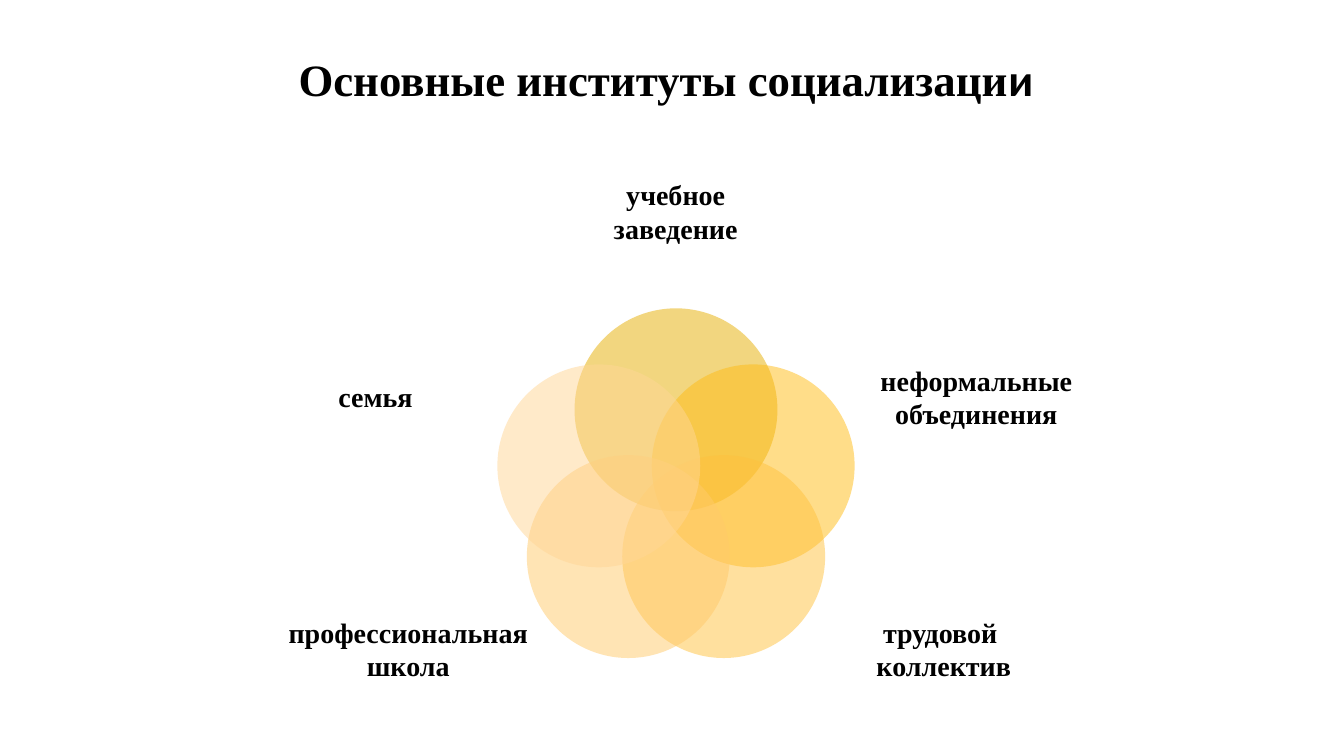
import math
from dataclasses import dataclass

from lxml import etree
from pptx import Presentation
from pptx import util as u
from pptx.dml.color import RGBColor
from pptx.enum import shapes, text
from pptx.oxml.ns import qn


@dataclass(frozen=True)
class Theme:
    font: str = "Times New Roman"
    accent_font: str = "Calibri"
    ink: str = "000000"
    title_size: int = 32
    title_end_size: int = 40
    label_size: int = 20
    opacity: int = 50
    petals: tuple = ("E7AE00", "FFBC14", "FFC23F", "FFCA6A", "FFD695")


THEME = Theme()

LABELS = (
    (("учебное", "заведение"), (7.26, 0, 5.92, 3.43)),
    (("неформальные", "объединения"), (15.14, 4.52, 5.31, 3.73)),
    (("трудовой ", "коллектив"), (14.32, 10.87, 5.31, 3.73)),
    (("профессиональная ", "школа"), (0.38, 10.87, 6.2, 3.73)),
    (("семья",), (0, 4.52, 5.31, 3.73)),
)


def style_font(font, size):
    font.name = THEME.font
    font.size = u.Pt(size)
    font.bold = True
    font.color.rgb = RGBColor.from_string(THEME.ink)


def add_title(slide, left, top, width, height):
    title = slide.shapes.title
    title.left, title.top = u.Cm(left), u.Cm(top)
    title.width, title.height = u.Cm(width), u.Cm(height)
    frame = title.text_frame
    frame.vertical_anchor = text.MSO_ANCHOR.MIDDLE
    paragraph = frame.paragraphs[0]
    paragraph.alignment = text.PP_ALIGN.CENTER
    paragraph.line_spacing = 0.9
    style_font(paragraph.font, THEME.title_size)
    for wording in ("Основные институты социализаци", "и", " "):
        run = paragraph.add_run()
        run.text = wording
        style_font(run.font, THEME.title_size)
        if len(wording) == 1:
            run.font.name = THEME.accent_font
    run.font.size = u.Pt(THEME.title_end_size)
    run.font.bold = False


def add_petal(group, center_x, center_y, diameter, color):
    petal = group.shapes.add_shape(
        shapes.MSO_SHAPE.OVAL,
        u.Cm(center_x - diameter / 2), u.Cm(center_y - diameter / 2),
        u.Cm(diameter), u.Cm(diameter),
    )
    petal.shadow.inherit = False
    petal.line.fill.background()
    petal.fill.solid()
    petal.fill.fore_color.rgb = RGBColor.from_string(color)
    fill_color = petal.fill._xPr.find(qn("a:solidFill"))[0]
    etree.SubElement(fill_color, qn("a:alpha"), val=str(THEME.opacity * 1000))


def add_label(group, lines, left, top, width, height):
    label = group.shapes.add_textbox(u.Cm(left), u.Cm(top), u.Cm(width), u.Cm(height))
    frame = label.text_frame
    frame.word_wrap = True
    frame.vertical_anchor = text.MSO_ANCHOR.MIDDLE
    frame.margin_left = frame.margin_right = frame.margin_top = frame.margin_bottom = 0
    frame.text = "\n".join(lines)
    for paragraph in frame.paragraphs:
        paragraph.alignment = text.PP_ALIGN.CENTER
        style_font(paragraph.font, THEME.label_size)


def add_venn(slide, left, top, width, height):
    group = slide.shapes.add_group_shape()
    center_x, center_y = left + width / 2, top + height * 0.6
    diameter = width / 4
    orbit = diameter * 0.4
    for index, (color, (lines, box)) in enumerate(zip(THEME.petals, LABELS)):
        angle = math.tau * index / len(LABELS)
        add_petal(
            group,
            center_x + orbit * math.sin(angle),
            center_y - orbit * math.cos(angle),
            diameter, color,
        )
        label_x, label_y, label_width, label_height = box
        add_label(group, lines, left + label_x, top + label_y, label_width, label_height)


def main():
    presentation = Presentation()
    presentation.slide_width, presentation.slide_height = u.Cm(33.87), u.Cm(19.05)
    slide = presentation.slides.add_slide(presentation.slide_layouts[5])
    add_title(slide, 5.51, 0.76, 22.86, 2.41)
    add_venn(slide, 6.81, 3.61, 20.45, 14.6)
    presentation.save("out.pptx")


if __name__ == "__main__":
    main()
